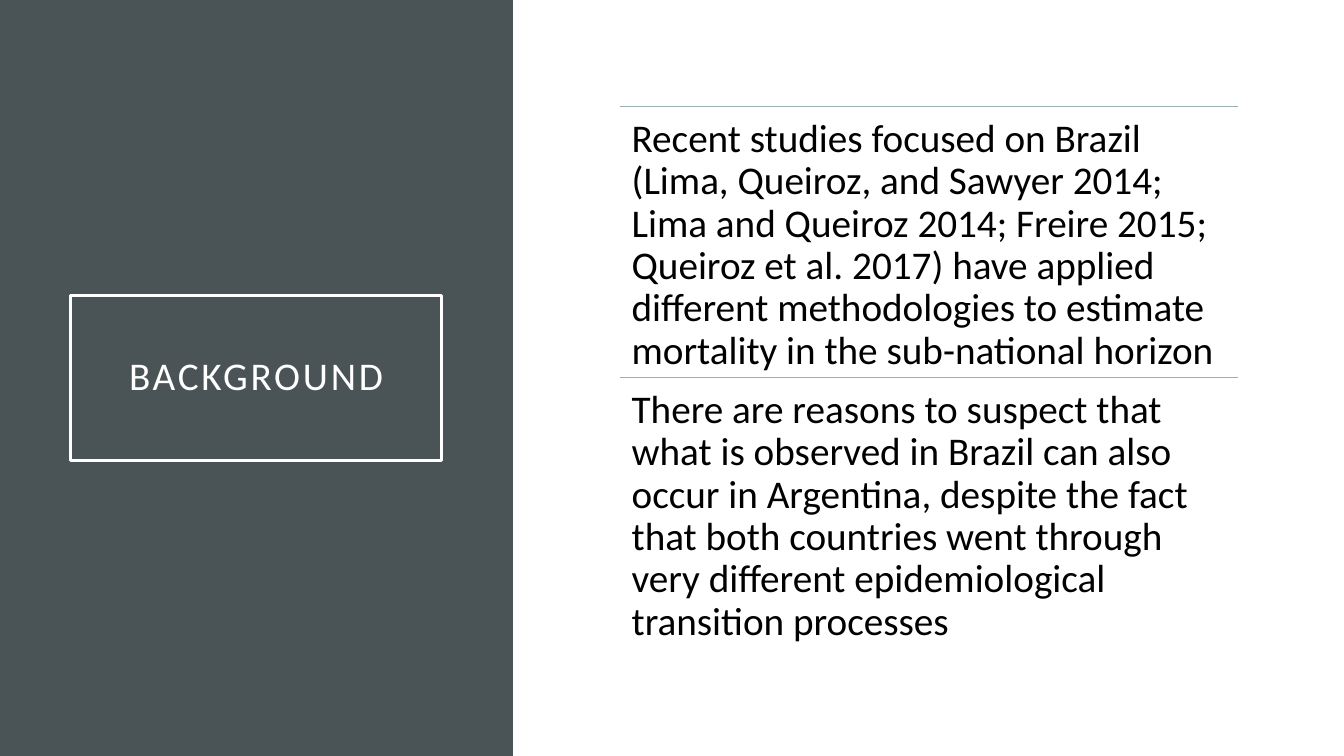
from lxml import etree
from pptx import Presentation
from pptx.dml.color import RGBColor
from pptx.enum.shapes import MSO_CONNECTOR, MSO_SHAPE
from pptx.enum.text import MSO_ANCHOR, MSO_AUTO_SIZE, PP_ALIGN
from pptx.oxml.ns import qn
from pptx.util import Cm, Pt

RECT, STRAIGHT = MSO_SHAPE.RECTANGLE, MSO_CONNECTOR.STRAIGHT
TOP, MIDDLE = MSO_ANCHOR.TOP, MSO_ANCHOR.MIDDLE
LEFT, CENTER = PP_ALIGN.LEFT, PP_ALIGN.CENTER
NO_AUTOFIT = MSO_AUTO_SIZE.NONE

SLATE = RGBColor(0x4A, 0x53, 0x56)
RULE = RGBColor(0x9B, 0xAF, 0xB5)
WHITE = RGBColor(0xFF, 0xFF, 0xFF)
BLACK = RGBColor(0x00, 0x00, 0x00)

SLIDE_W, SLIDE_H = Cm(33.87), Cm(19.05)
PANEL_W = Cm(12.93)

STATEMENTS = [
    "Recent studies focused on Brazil (Lima, Queiroz, and Sawyer 2014; "
    "Lima and Queiroz 2014; Freire 2015; Queiroz et al. 2017) have applied "
    "different methodologies to estimate mortality in the sub-national horizon",
    "There are reasons to suspect that what is observed in Brazil can also "
    "occur in Argentina, despite the fact that both countries went through "
    "very different epidemiological transition processes",
]


def set_attrs(obj, values):
    for name, value in values.items():
        setattr(obj, name, value)


def write_text(sp, text, color, inset, anchor, align):
    """Fill a shape with one 28 pt paragraph and return its run."""
    tf = sp.text_frame
    set_attrs(tf, {"word_wrap": True, "auto_size": NO_AUTOFIT,
                   "vertical_anchor": anchor,
                   "margin_left": inset, "margin_right": inset,
                   "margin_top": inset, "margin_bottom": inset})
    p = tf.paragraphs[0]
    set_attrs(p, {"alignment": align, "line_spacing": 0.9,
                  "space_before": Pt(0)})
    r = p.add_run()
    r.text = text
    set_attrs(r.font, {"name": "Calibri", "size": Pt(28)})
    r.font.color.rgb = color
    return r


def add_title_panel(s, x, y, w, h):
    """Dark panel with the slide title in a white frame."""
    title = s.shapes.title
    panel = s.shapes.add_shape(RECT, x, y, w, h)
    panel.shadow.inherit = False
    panel.fill.solid()
    panel.fill.fore_color.rgb = SLATE
    panel.line.fill.background()
    title.element.addprevious(panel.element)

    set_attrs(title, {"left": x + Cm(1.78), "top": y + Cm(7.44),
                      "width": Cm(9.35), "height": Cm(4.17)})
    title.line.color.rgb = WHITE
    title.line.width = Pt(2.5)
    r = write_text(title, "BACKGROUND", WHITE, Cm(0.51), MIDDLE, CENTER)
    r.font._element.set("spc", "200")


def add_rule(s, x, y, w):
    line = s.shapes.add_connector(STRAIGHT, x, y, x + w, y)
    line.line.color.rgb = RULE
    line.line.width = Pt(0.5)
    etree.SubElement(line.element.spPr, qn("a:effectLst"))


def add_statements(s, x, y, w, h):
    """Equal rows, each a rule with a statement below it."""
    row_h = h // len(STATEMENTS)
    for i, text in enumerate(STATEMENTS):
        top = y + i * row_h
        add_rule(s, x, top, w)
        box = s.shapes.add_textbox(x, top, w, row_h)
        write_text(box, text, BLACK, Cm(0.3), TOP, LEFT)


def main():
    prs = Presentation()
    set_attrs(prs, {"slide_width": SLIDE_W, "slide_height": SLIDE_H})
    s = prs.slides.add_slide(prs.slide_layouts[5])
    add_title_panel(s, 0, 0, PANEL_W, SLIDE_H)
    add_statements(s, PANEL_W + Cm(2.69), Cm(2.69), Cm(15.57), Cm(13.66))
    prs.save("out.pptx")


if __name__ == "__main__":
    main()
